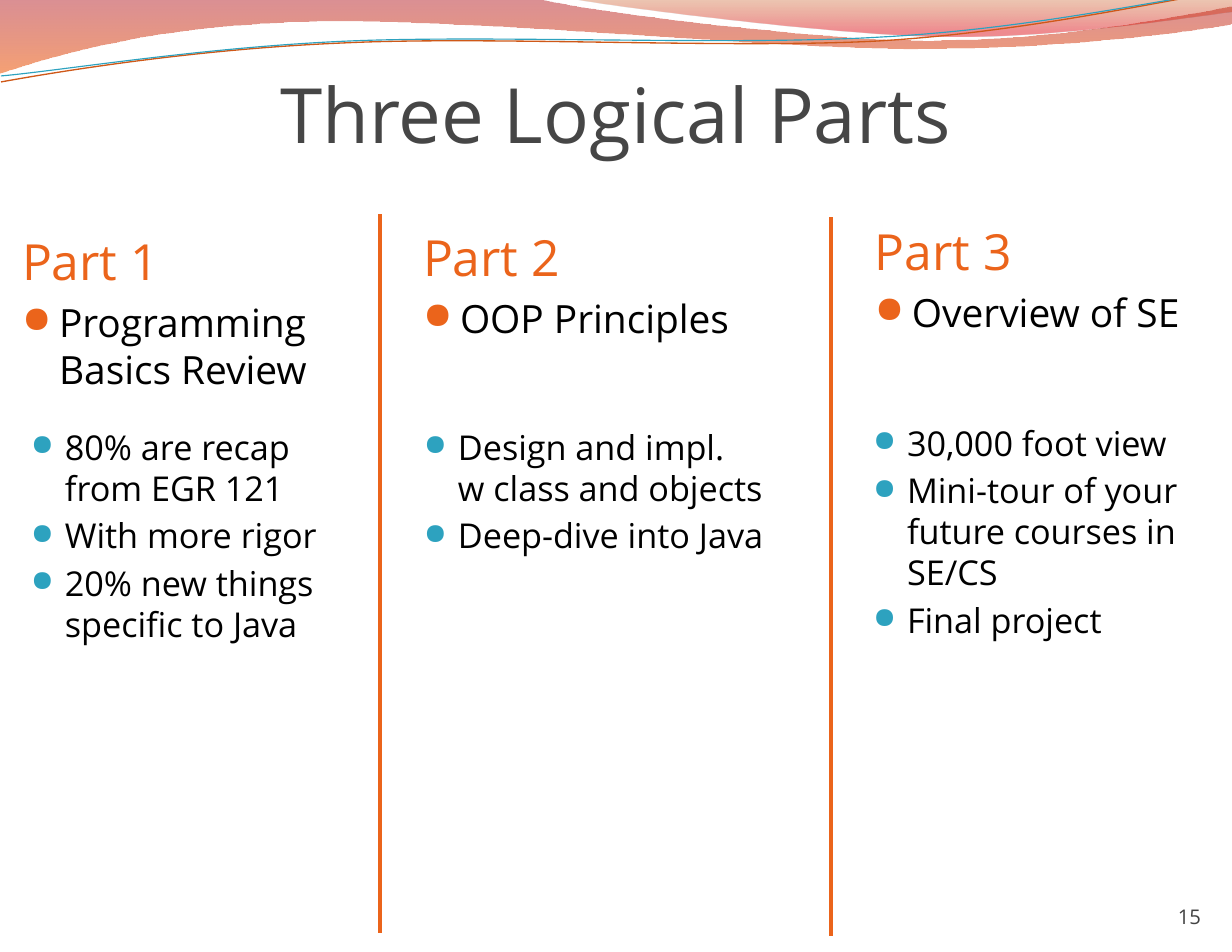
from lxml import etree
from pptx import Presentation, util as u
from pptx.dml.color import RGBColor
from pptx.enum import shapes, text
from pptx.oxml.ns import qn

PX = 914400 // 112
HUE = {"ink": "000000", "title": "464646", "page": "424242", "orange": "EB641B",
       "teal": "2DA2BF", "rust": "CF5818", "wine": "AF0911", "flame": "EE5300",
       "brick": "C24400", "red": "DC000B"}
HEAD = {"size": 32, "hue": "orange", "lead": 38}
TOPIC = {"size": 25, "lead": 30.2, "gap": 5, "dot": ("orange", 95, 37)}
NOTE = {"size": 22, "lead": 26.4, "gap": 4.2, "dot": ("teal", 85, 34)}
MID, LOW, TOP = text.MSO_ANCHOR.MIDDLE, text.MSO_ANCHOR.BOTTOM, text.MSO_ANCHOR.TOP


class Deck:
    """Hold the style and the current slide, and draw each kind of element."""

    def __init__(self, wide, high, font):
        self.prs = Presentation()
        self.prs.slide_width, self.prs.slide_height = wide * PX, high * PX
        self.font = font
        self.slide = self.prs.slides.add_slide(self.prs.slide_layouts[5])

    def color(self, name):
        return RGBColor.from_string(HUE[name])

    def frame(self, shape, box, pad, anchor=TOP):
        for name, val in zip(("left", "top", "width", "height"), box):
            setattr(shape, name, val * PX)
        form = {"word_wrap": True, "auto_size": text.MSO_AUTO_SIZE.NONE,
                "vertical_anchor": anchor}
        for side, val in zip(("left", "top", "right", "bottom"), pad):
            form["margin_" + side] = val * PX
        for name, val in form.items():
            setattr(shape.text_frame, name, val)
        return shape.text_frame

    def para(self, par, words, size, hue="ink", lead=None, gap=0, dot=None,
             align=text.PP_ALIGN.LEFT):
        par.text = words
        form = {"alignment": align, "space_before": u.Pt(gap),
                "line_spacing": u.Pt(lead) if lead else None}
        for name, val in form.items():
            setattr(par, name, val)
        for run in par.runs:
            for name, val in {"name": self.font, "size": u.Pt(size)}.items():
                setattr(run.font, name, val)
            run.font.color.rgb = self.color(hue)
        if dot:
            self.bullet(par, *dot)

    def bullet(self, par, hue, size, dent):
        props = par._p.get_or_add_pPr()
        props.set("marL", str(dent * PX))
        props.set("indent", str(-dent * PX))
        tint = etree.SubElement(props, qn("a:buClr"))
        etree.SubElement(tint, qn("a:srgbClr"), val=HUE[hue])
        etree.SubElement(props, qn("a:buSzPct"), val=str(size * 1000))
        etree.SubElement(props, qn("a:buFont"), typeface="OpenSymbol")
        etree.SubElement(props, qn("a:buChar"), char="●")

    def title(self, words, box):
        body = self.frame(self.slide.shapes.title, box, (0, 7, 0, 0), MID)
        self.para(body.paragraphs[0], words, 49, "title", align=text.PP_ALIGN.CENTER)

    def label(self, words, box):
        body = self.frame(self.slide.shapes.add_textbox(0, 0, 0, 0), box, (0,) * 4, LOW)
        self.para(body.paragraphs[0], words, 13, "page", align=text.PP_ALIGN.RIGHT)

    def block(self, rows, box):
        body = self.frame(self.slide.shapes.add_textbox(0, 0, 0, 0), box, (12, 7, 12, 7))
        for num, (words, form) in enumerate(rows):
            par = body.add_paragraph() if num else body.paragraphs[0]
            self.para(par, words, **(form if num else {**form, "gap": 0}))

    def rule(self, x, top, end):
        line = self.slide.shapes.add_connector(
            shapes.MSO_CONNECTOR.STRAIGHT, x * PX, top * PX, x * PX, end * PX)
        line.line.color.rgb = self.color("orange")
        line.line.width = u.Pt(2)
        etree.SubElement(line._element.spPr, qn("a:effectLst"))

    def trace(self, start, legs, close):
        spots = [leg[i:i + 2] for leg in legs for i in range(0, len(leg), 2)]
        build = self.slide.shapes.build_freeform(*start, scale=float(PX))
        build.add_line_segments(spots, close=close)
        shape = build.convert_to_shape()
        shape.shadow.inherit = False
        lines = iter(list(shape._element.spPr.iter(qn("a:lnTo"))))
        for leg in legs:
            first = next(lines)
            if len(leg) == 6:
                first.tag = qn("a:cubicBezTo")
                for line in (next(lines), next(lines)):
                    first.append(line[0])
                    line.getparent().remove(line)
        return shape

    def wave(self, start, legs, stops):
        shape = self.trace(start, legs, True)
        shape.line.fill.background()
        shape.fill.gradient()
        shape.fill.gradient_angle = 270
        for stop, (at, hue, alpha) in zip(shape.fill.gradient_stops, stops):
            stop.position = at
            stop.color.rgb = self.color(hue)
        tints = shape._element.spPr.iter(qn("a:srgbClr"))
        for tint, (at, hue, alpha) in zip(tints, stops):
            etree.SubElement(tint, qn("a:alpha"), val=str(alpha * 1000))

    def curve(self, start, legs, hue, width):
        shape = self.trace(start, legs, False)
        shape.fill.background()
        shape.line.color.rgb = self.color(hue)
        shape.line.width = u.Pt(width)


def main():
    deck = Deck(1232, 952, "Open Sans")
    deck.wave((0, 0), [(542, 0), (586, 11, 818, 41, 934, 41),
                       (1051, 41, 1180, 17, 1232, 7), (1233, 24),
                       (1212, 29, 1072, 49, 918, 49), (766, 49, 470, 19, 317, 22),
                       (159, 24, 56, 55, -1, 74)],
              [(0, "wine", 45), (1, "flame", 55)])
    deck.wave((575, 0), [(613, 7, 831, 34, 941, 36),
                         (1049, 38, 1184, 18, 1232, 12), (1232, 0)],
              [(0, "brick", 30), (0.8, "red", 45)])
    deck.curve((1, 82), [(62, 71, 197, 49, 344, 43), (489, 36, 731, 49, 879, 41),
                         (1027, 32, 1159, 1, 1233, -10)], "rust", 0.85)
    deck.curve((1, 76), [(59, 71, 204, 47, 351, 41), (497, 35, 736, 46, 883, 37),
                         (1029, 29, 1159, 0, 1232, -10)], "teal", 0.75)
    deck.label("15", (1098, 879, 103, 50))
    deck.title("Three Logical Parts", (61, 61, 1109, 97))
    for x, top in ((380, 214), (831, 217)):
        deck.rule(x, top, top + 719)
    parts = [
        ("Part 1", "Programming Basics Review", (10, 224, 420), (19, 419, 366),
         ["80% are recap from EGR 121", "With more rigor",
          "20% new things specific to Java"]),
        ("Part 2", "OOP Principles", (411, 220, 489), (412, 419, 435),
         ["Design and impl. \vw class and objects", "Deep-dive into Java"]),
        ("Part 3", "Overview of SE", (863, 214, 369), (861, 415, 356),
         ["30,000 foot view", "Mini-tour of your future courses in SE/CS",
          "Final project"]),
    ]
    for head, topic, upper, lower, notes in parts:
        deck.block([(head, HEAD), (topic, TOPIC)], (*upper, 719))
        deck.block([(note, NOTE) for note in notes], (*lower, 510))
    deck.prs.save("out.pptx")


if __name__ == "__main__":
    main()
